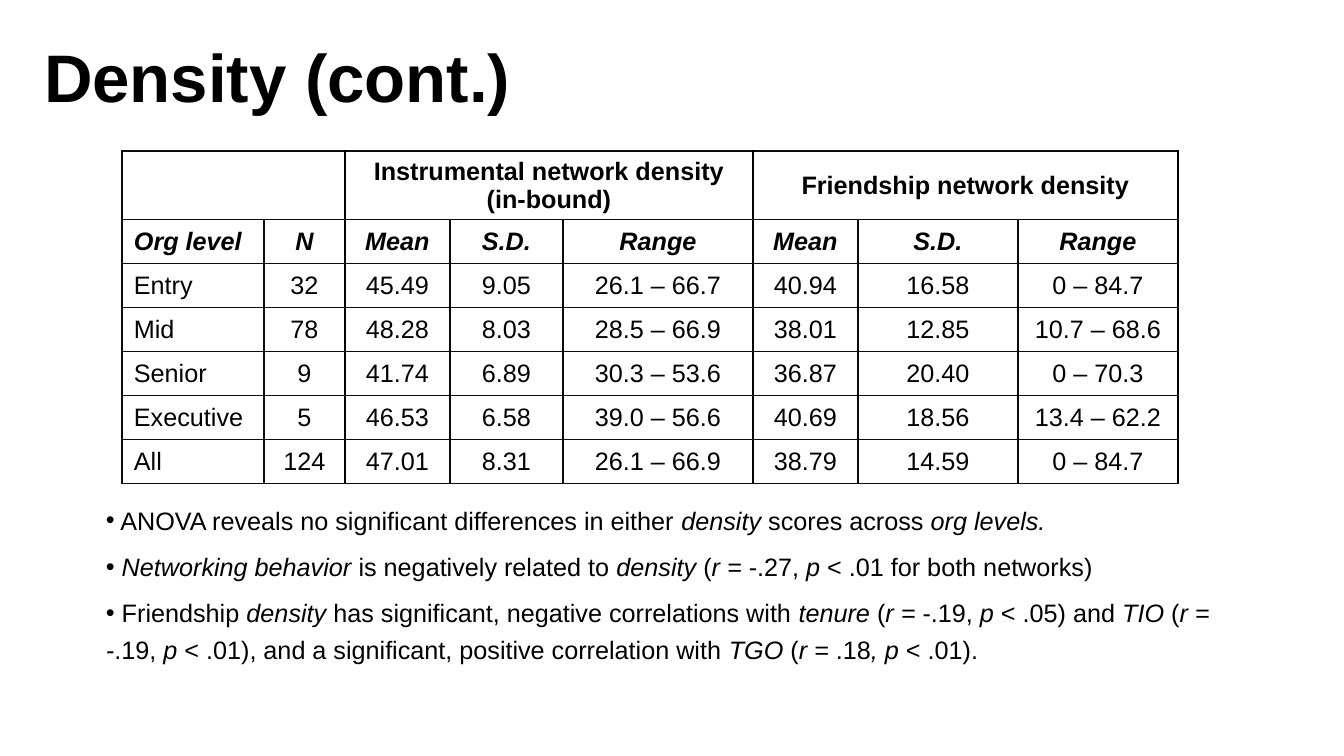
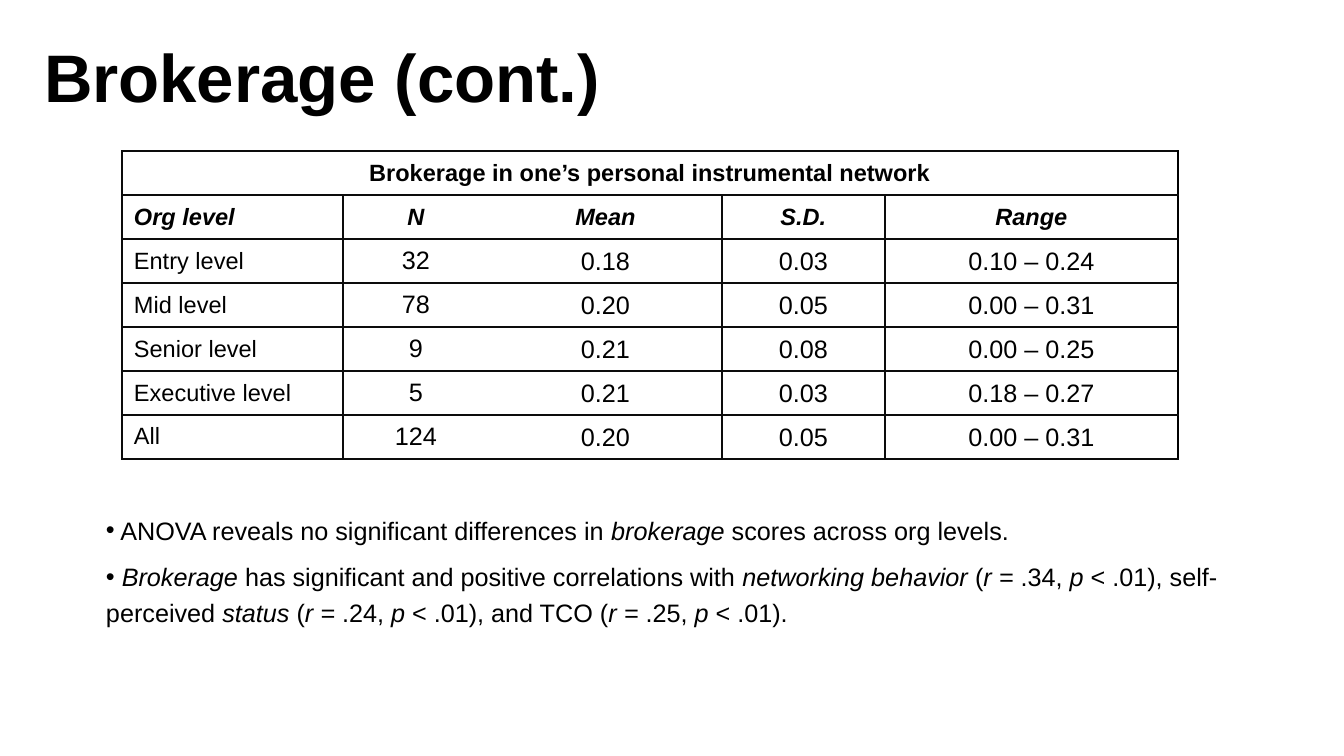
from pptx import Presentation, util as u
from pptx.dml.color import RGBColor
from pptx.enum import text as t
from pptx.oxml.ns import qn
from lxml import etree

PX = 7557  # EMU in one px, 121 px to the inch
BLACK = RGBColor(0, 0, 0)
INK = RGBColor(0x0C, 0x0C, 0x0C)
FACE = "Arial"
LEFT, TOP, ROW = 122, 151, 44

# Text between asterisks is italic
pages = [
    dict(
        title="Density (cont.)",
        size=15, tall=68, ends={1, 4, 7}, gap=None,
        cols=[142, 81, 105, 113, 190, 105, 160, 160],
        spans=[(0, 1), (2, 4), (5, 7)],
        rows=[
            ["", "", "Instrumental network density (in-bound)", "", "",
             "Friendship network density", "", ""],
            ["Org level", "N", "Mean", "S.D.", "Range", "Mean", "S.D.", "Range"],
            ["Entry", "32", "45.49", "9.05", "26.1 – 66.7", "40.94", "16.58", "0 – 84.7"],
            ["Mid", "78", "48.28", "8.03", "28.5 – 66.9", "38.01", "12.85", "10.7 – 68.6"],
            ["Senior", "9", "41.74", "6.89", "30.3 – 53.6", "36.87", "20.40", "0 – 70.3"],
            ["Executive", "5", "46.53", "6.58", "39.0 – 56.6", "40.69", "18.56", "13.4 – 62.2"],
            ["All", "124", "47.01", "8.31", "26.1 – 66.9", "38.79", "14.59", "0 – 84.7"],
        ],
        top=499,
        notes=[
            " ANOVA reveals no significant differences in either *density* scores across *org levels.*",
            "* Networking behavior *is negatively related to *density *(*r = *-.27, *p *"
            "< .01 for both networks)",
            " Friendship *density* has significant, negative correlations with *tenure *("
            "*r = *-.19, *p *< .05) and *TIO *(*r = -*.19, *p *< .01), and a significant, "
            "positive correlation with *TGO* (*r = *.18*, p *< .01).",
        ],
    ),
    dict(
        title="Brokerage (cont.)",
        size=14, tall=ROW, ends={4}, gap=1,
        cols=[221, 146, 233, 163, 293],
        spans=[(0, 4)],
        rows=[
            ["Brokerage in one’s personal instrumental network", "", "", "", ""],
            ["Org level", "N", "Mean", "S.D.", "Range"],
            ["Entry level", "32", "0.18", "0.03", "0.10 – 0.24"],
            ["Mid level", "78", "0.20", "0.05", "0.00 – 0.31"],
            ["Senior level", "9", "0.21", "0.08", "0.00 – 0.25"],
            ["Executive level", "5", "0.21", "0.03", "0.18 – 0.27"],
            ["All", "124", "0.20", "0.05", "0.00 – 0.31"],
        ],
        top=509,
        notes=[
            " ANOVA reveals no significant differences in *brokerage* scores across org levels.",
            " *Brokerage *has significant and positive correlations with* networking behavior *("
            "*r = *.34, *p *< .01), self-perceived *status *(*r = *.24, *p *< .01), and TCO ("
            "*r = *.25, *p *< .01).",
        ],
    ),
]


def style(run, size, bold=False, slant=False):
    font = run.font
    font.name, font.size = FACE, u.Pt(size)
    font.bold, font.italic = bold, slant
    font.color.rgb = BLACK


def border(cell, side, width, color):
    """Draw one side of a cell, or leave it bare if color is None."""
    line = etree.SubElement(cell._tc.get_or_add_tcPr(), qn("a:ln" + side),
                            w=str(u.Pt(width)))
    if color is None:
        etree.SubElement(line, qn("a:noFill"))
    else:
        fill = etree.SubElement(line, qn("a:solidFill"))
        etree.SubElement(fill, qn("a:srgbClr"), val=str(color))


deck = Presentation()
deck.slide_width, deck.slide_height = 1344 * PX, 756 * PX

for page in pages:
    slide = deck.slides.add_slide(deck.slide_layouts[5])

    # Title
    title = slide.shapes.title
    title.left, title.top, title.width, title.height = (
        n * PX for n in (44, 29, 1249, 146))
    frame = title.text_frame
    frame.text = page["title"]
    frame.auto_size = t.MSO_AUTO_SIZE.NONE
    frame.vertical_anchor = t.MSO_ANCHOR.TOP
    frame.margin_left = frame.margin_right = frame.margin_bottom = 0
    frame.margin_top = 6 * PX
    frame.paragraphs[0].alignment = t.PP_ALIGN.LEFT
    style(frame.paragraphs[0].runs[0], 40, bold=True)

    # Findings
    box = slide.shapes.add_textbox(106 * PX, page["top"] * PX, 1124 * PX, 161 * PX)
    frame = box.text_frame
    frame.word_wrap = True
    frame.margin_left = frame.margin_right = 0
    frame.margin_top = frame.margin_bottom = 0
    for i, note in enumerate(page["notes"]):
        para = frame.add_paragraph() if i else frame.paragraphs[0]
        para.line_spacing = 1.2
        if i:
            para.space_before = u.Pt(6)
        props = para._p.get_or_add_pPr()
        props.set("marL", "0")
        props.set("indent", "0")
        etree.SubElement(props, qn("a:buFont"), typeface=FACE)
        etree.SubElement(props, qn("a:buChar"), char="•")
        for j, part in enumerate(note.split("*")):
            if part:
                run = para.add_run()
                run.text = part
                style(run, 15, slant=j % 2 == 1)

    # Table grid
    rows, cols = page["rows"], page["cols"]
    highs = [page["tall"]] + [ROW] * (len(rows) - 1)
    table = slide.shapes.add_table(
        len(rows), len(cols), LEFT * PX, TOP * PX,
        sum(cols) * PX, sum(highs) * PX).table
    table.first_row = table.horz_banding = False
    for c, wide in enumerate(cols):
        table.columns[c].width = wide * PX
    for r, high in enumerate(highs):
        table.rows[r].height = high * PX
    for a, b in page["spans"]:
        table.cell(0, a).merge(table.cell(0, b))

    # Table cells
    for r, row in enumerate(rows):
        for c, word in enumerate(row):
            cell = table.cell(r, c)
            last = c + (cell.span_width if cell.is_merge_origin else 1) - 1
            gap = page["gap"] if r else None
            for side, edge in (("L", c - 1), ("R", last)):
                color = BLACK if edge in page["ends"] else INK
                border(cell, side, 1, None if edge == gap else color)
            for side in "TB":
                border(cell, side, 0.5 if r % 2 else 1, INK)
            cell.fill.background()
            cell.vertical_anchor = t.MSO_ANCHOR.MIDDLE
            cell.margin_left = cell.margin_right = 12 * PX
            cell.margin_top = cell.margin_bottom = 4 * PX
            if r > 1 and c > 1:
                cell.margin_left = cell.margin_right = cell.margin_top = PX
                cell.margin_bottom = 0
            if word:
                cell.text_frame.text = word
                para = cell.text_frame.paragraphs[0]
                if c or not r:
                    para.alignment = t.PP_ALIGN.CENTER
                size = page["size"] if r < 2 or c == 0 else 15
                style(para.runs[0], size, bold=r < 2, slant=r == 1)

deck.save("out.pptx")
